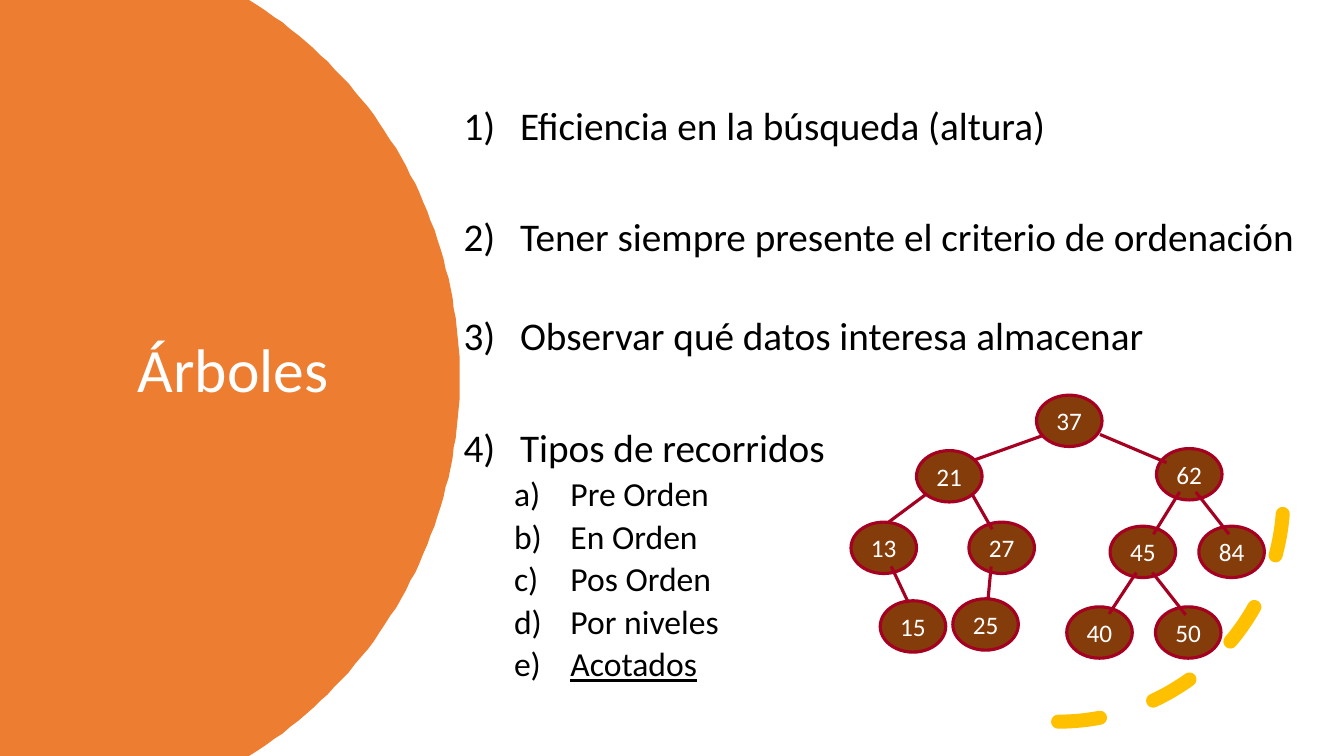
from math import asin, cos, sin

from lxml import etree
from pptx import Presentation
from pptx.dml.color import RGBColor
from pptx.enum.dml import MSO_LINE
from pptx.enum.shapes import MSO_CONNECTOR, MSO_SHAPE
from pptx.enum.text import MSO_ANCHOR as Anchor, PP_ALIGN as Align
from pptx.oxml.ns import qn
from pptx.util import Inches, Pt

CELL = Inches(0.01)  # the slide is a grid of 1333 by 750 cells
COLS, ROWS = 1333, 750
FONT = "Calibri"
ORANGE, GOLD, BROWN, WINE = "ED7D31", "FFC000", "843C0B", "A50021"
WHITE, BLACK = "FFFFFF", "000000"

NODE = (65, 51)
# Value: left, top within the tree
NODES = {
    37: (184, 0), 62: (303, 53), 21: (65, 55), 13: (0, 126),
    27: (117, 126), 45: (257, 130), 84: (345, 130), 15: (29, 204),
    40: (214, 210), 50: (302, 210), 25: (101, 202),
}
# From x, y to x, y within the tree
ROOT = (199, 37, 115, 67)
EDGES = [
    (75, 98, 36, 127), (120, 98, 140, 133), (326, 96, 300, 138),
    (342, 96, 375, 138), (247, 39, 313, 67), (40, 170, 57, 206),
    (283, 176, 256, 217), (299, 176, 332, 218), (139, 170, 136, 202),
]

# Text and space before in points
TOPICS = [
    ("Eficiencia en la búsqueda (altura)", 0),
    ("Tener siempre presente el criterio de ordenación", 49.7),
    ("Observar qué datos interesa almacenar", 40.4),
    ("Tipos de recorridos", 49.7),
]
TOURS = ["Pre Orden", "En Orden", "Pos Orden", "Por niveles", "Acotados"]


def cells(*nums):
    return [int(n * CELL) for n in nums]


def rgb(code):
    return RGBColor.from_string(code)


def paint(shape, fill=None, line=None, width=2.25):
    shape.shadow.inherit = False
    if fill:
        shape.fill.solid()
        shape.fill.fore_color.rgb = rgb(fill)
    else:
        shape.fill.background()
    if line:
        shape.line.color.rgb = rgb(line)
        shape.line.width = Pt(width)
    else:
        shape.line.fill.background()


def write(para, text, size=18, color=WHITE, align=Align.CENTER,
          space=0, lead=1, under=None):
    para.alignment = align
    para.space_before = Pt(space)
    para.line_spacing = lead
    run = para.add_run()
    run.text = text
    font = run.font
    font.name, font.size, font.underline = FONT, Pt(size), under
    font.color.rgb = rgb(color)


def number(para, kind, left):
    """Number a paragraph automatically, with a hanging indent."""
    props = para._p.get_or_add_pPr()
    props.set("marL", str(Inches(left)))
    props.set("indent", str(-Inches(0.56)))
    etree.SubElement(props, qn("a:buFont"), typeface="+mj-lt")
    etree.SubElement(props, qn("a:buAutoNum"), type=kind)


def frame(slide, box):
    text = slide.shapes.add_textbox(*cells(*box)).text_frame
    text.word_wrap = True
    text.vertical_anchor = Anchor.MIDDLE
    return text


def panel(slide, box):
    """Fill a box whose right side is a circular arc."""
    left, top, wide, high = box
    half, edge = high / 2, 247
    depth = wide - edge
    radius = (half ** 2 + depth ** 2) / (2 * depth)
    span, steps = asin(half / radius), 90
    turns = [span * (2 * i / steps - 1) for i in range(steps + 1)]
    curve = [(left + wide - radius + radius * cos(t),
              top + half + radius * sin(t)) for t in turns]
    path = slide.shapes.build_freeform(left, top, scale=CELL)
    path.add_line_segments(curve + [(left, top + high)], close=True)
    paint(path.convert_to_shape(), ORANGE)


def title(slide, box):
    write(frame(slide, box).paragraphs[0], "Árboles", size=44, lead=0.9)


def arc(slide, box):
    shape = slide.shapes.add_shape(MSO_SHAPE.ARC, *cells(*box))
    paint(shape, line=GOLD, width=10)
    shape.line.dash_style = MSO_LINE.DASH
    props = shape._element.spPr
    props.find(qn("a:ln")).set("cap", "rnd")
    props.find(qn("a:xfrm")).set("flipV", "1")


def topics(slide, box):
    text = frame(slide, box)
    text.margin_top = Inches(0.28)
    look = dict(color=BLACK, align=Align.LEFT, lead=0.9)
    for i, (topic, space) in enumerate(TOPICS):
        para = text.add_paragraph() if i else text.paragraphs[0]
        write(para, topic, size=28, space=space, **look)
        number(para, "arabicParenR", 0.56)
    for tour in TOURS:
        para = text.add_paragraph()
        para.level = 1
        write(para, tour, size=24, space=4.5,
              under=tour == TOURS[-1] or None, **look)
        number(para, "alphaLcParenR", 1.06)


def tree(slide, box):
    left, top = box[:2]
    group = slide.shapes.add_group_shape().shapes

    def link(x1, y1, x2, y2):
        ends = cells(left + x1, top + y1, left + x2, top + y2)
        line = group.add_connector(MSO_CONNECTOR.STRAIGHT, *ends)
        line.line.color.rgb = rgb(WINE)
        line.line.width = Pt(2.25)
        etree.SubElement(line._element.spPr, qn("a:effectLst"))

    link(*ROOT)
    for value, (x, y) in NODES.items():
        spot = cells(left + x, top + y, *NODE)
        node = group.add_shape(MSO_SHAPE.OVAL, *spot)
        paint(node, BROWN, WINE)
        node.text_frame.word_wrap = False
        node.text_frame.vertical_anchor = Anchor.MIDDLE
        write(node.text_frame.paragraphs[0], str(value))
    for edge in EDGES:
        link(*edge)


def main():
    deck = Presentation()
    deck.slide_width, deck.slide_height = cells(COLS, ROWS)
    slide = deck.slides.add_slide(deck.slide_layouts[6])
    panel(slide, (0, 0, 456, ROWS))
    title(slide, (38, 126, 387, 488))
    arc(slide, (826, 269, 447, 447))
    topics(slide, (450, 49, 896, 663))
    tree(slide, (844, 392, 410, 261))
    deck.save("out.pptx")


if __name__ == "__main__":
    main()
